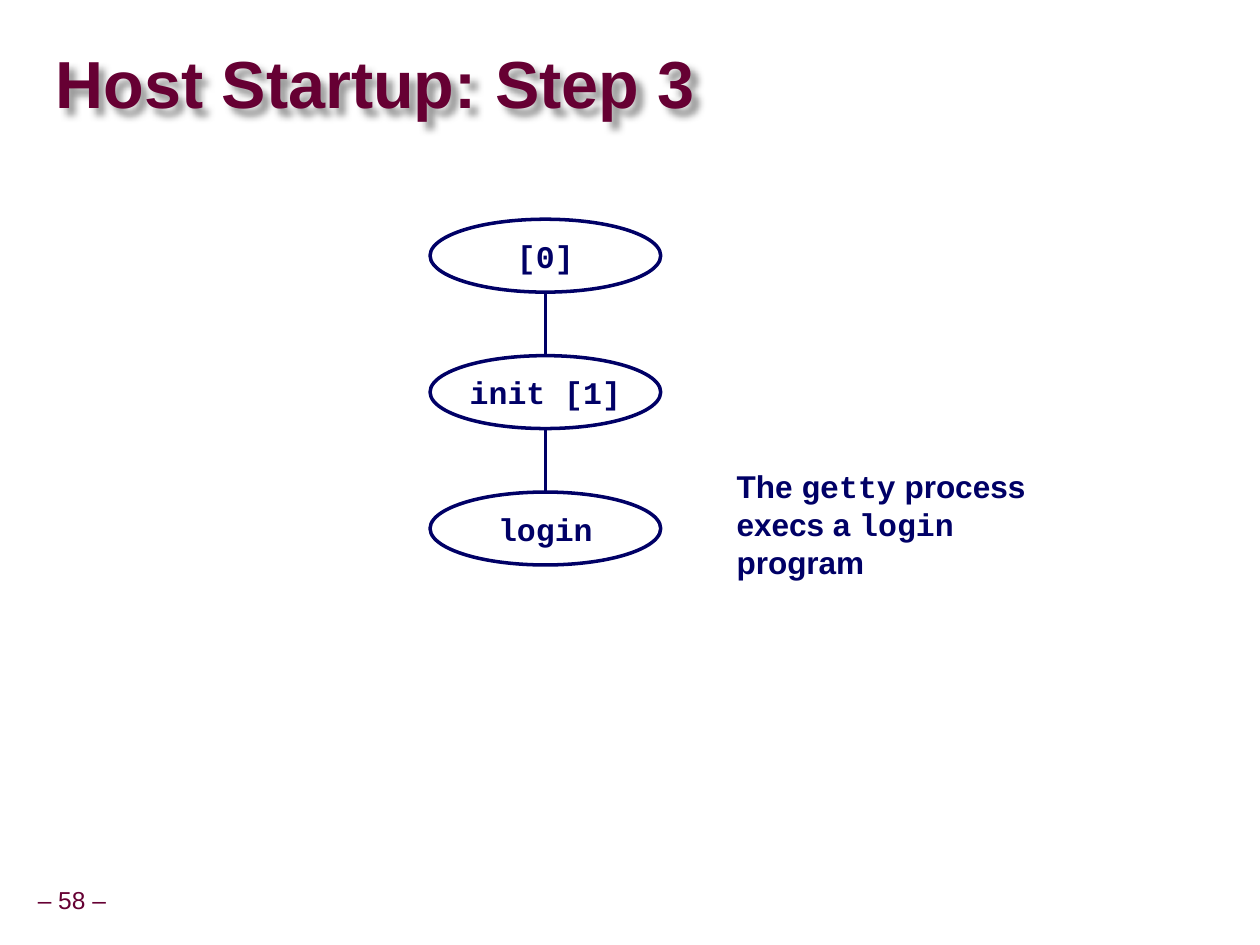
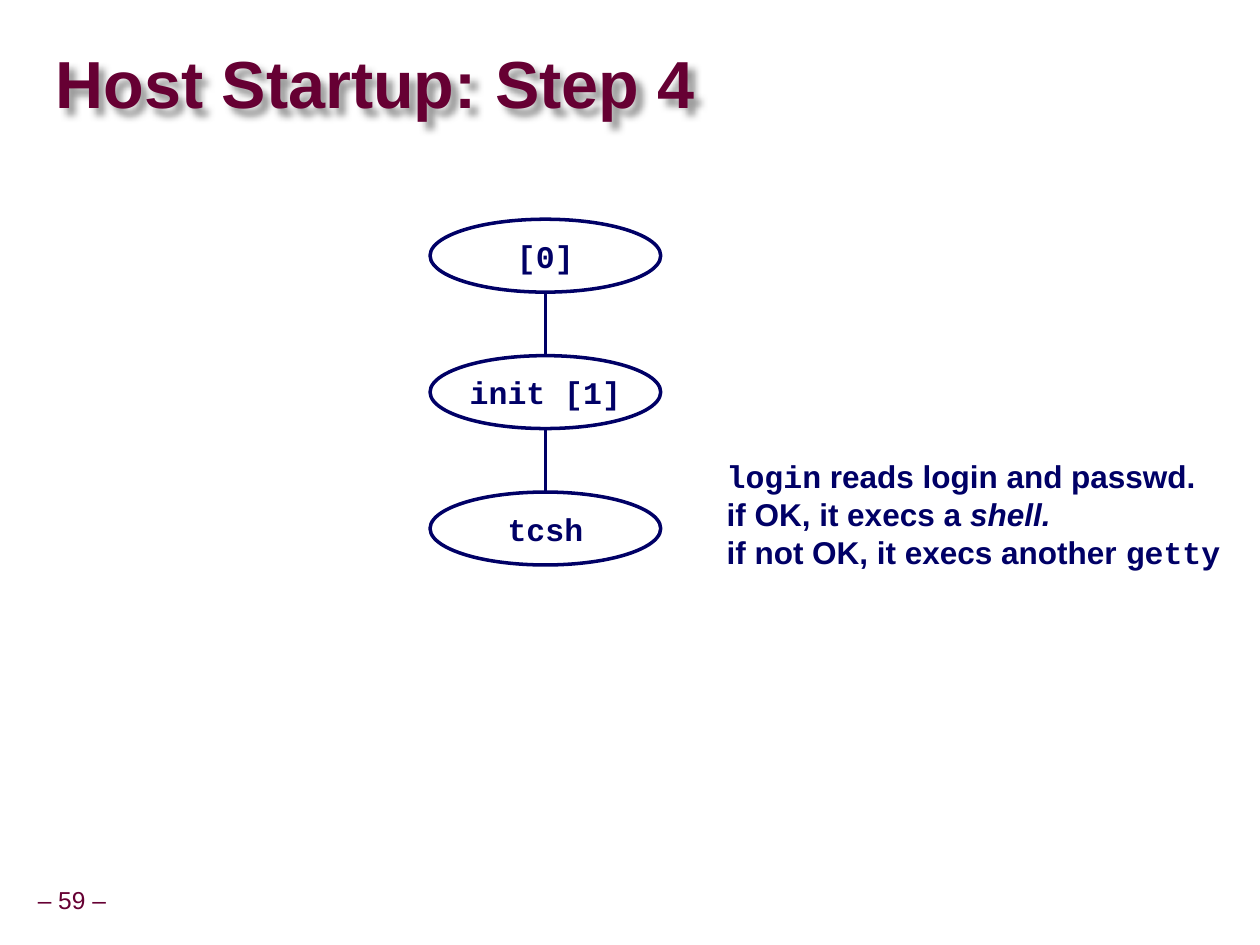
"""Build two slides on the Host startup process tree."""
from dataclasses import dataclass

from lxml import etree
from pptx import Presentation
from pptx.dml.color import RGBColor
from pptx.enum.shapes import MSO_CONNECTOR, MSO_SHAPE
from pptx.enum.text import MSO_ANCHOR, MSO_AUTO_SIZE, PP_ALIGN
from pptx.oxml import parse_xml
from pptx.oxml.ns import nsdecls, qn
from pptx.presentation import Presentation as PresentationType
from pptx.slide import Slide
from pptx.text.text import Font
from pptx.util import Cm, Pt

OVAL = MSO_SHAPE.OVAL
STRAIGHT = MSO_CONNECTOR.STRAIGHT
MIDDLE = MSO_ANCHOR.MIDDLE
LEFT, CENTER = PP_ALIGN.LEFT, PP_ALIGN.CENTER
NO_AUTOFIT = MSO_AUTO_SIZE.NONE
TITLE_ONLY_LAYOUT = 5


@dataclass(frozen=True)
class Theme:
    """Colours, fonts and type sizes of the deck."""
    accent: RGBColor = RGBColor(0x66, 0x00, 0x33)
    ink: RGBColor = RGBColor(0x00, 0x00, 0x66)
    paper: RGBColor = RGBColor(0xFF, 0xFF, 0xFF)
    sans: str = "Arial"
    mono: str = "Courier New"
    title_size: int = 38
    body_size: int = 18
    footer_size: int = 14
    line_width: int = 2


@dataclass(frozen=True)
class ProcessColumn:
    """Place of the stacked process ovals, in centimetres."""
    left: float = 8.67
    top: float = 4.42
    width: float = 4.65
    height: float = 1.47
    pitch: float = 2.75


@dataclass(frozen=True)
class Span:
    """A stretch of note text in one style."""
    text: str
    code: bool = False
    italic: bool = False


@dataclass(frozen=True)
class Note:
    """A remark beside the last process, in centimetres."""
    left: float
    top: float
    width: float
    lines: list[list[Span]]


@dataclass(frozen=True)
class StartupStep:
    """One slide of the startup sequence."""
    number: int
    page: int
    processes: list[str]
    note: Note


THEME = Theme()
COLUMN = ProcessColumn()
STEPS = [
    StartupStep(3, 58, ["[0]", "init [1]", "login"], Note(14.6, 9.3, 6.55, [
        [Span("The "), Span("getty", code=True), Span(" process execs a "),
         Span("login", code=True), Span(" program")],
    ])),
    StartupStep(4, 59, ["[0]", "init [1]", "tcsh"], Note(14.4, 9.09, 11, [
        [Span("login", code=True), Span(" reads login and passwd.")],
        [Span("if OK, it execs a "), Span("shell.", italic=True)],
        [Span("if not OK, it execs another "), Span("getty", code=True)],
    ])),
]


def style_font(font: Font, name: str, size: int, color: RGBColor, bold: bool = True) -> None:
    """Apply typeface, size, colour and weight."""
    font.name = name
    font.size = Pt(size)
    font.color.rgb = color
    font.bold = bold


def add_title(slide: Slide, text: str) -> None:
    """Fill the title placeholder and give it a soft shadow."""
    title = slide.shapes.title
    title.left, title.top, title.width, title.height = Cm(1.12), Cm(0.69), Cm(24.21), Cm(2.16)
    frame = title.text_frame
    frame.text = text
    frame.auto_size = NO_AUTOFIT
    frame.vertical_anchor = MIDDLE
    frame.margin_left = frame.margin_right = frame.margin_top = frame.margin_bottom = 0
    paragraph = frame.paragraphs[0]
    paragraph.alignment = LEFT
    paragraph.line_spacing = 0.87
    style_font(paragraph.runs[0].font, THEME.sans, THEME.title_size, THEME.accent)
    title._element.spPr.append(parse_xml(
        f'<a:effectLst {nsdecls("a")}>'
        '<a:outerShdw blurRad="50800" dist="63500" dir="2700000" algn="tl" rotWithShape="0">'
        '<a:srgbClr val="000000"><a:alpha val="40000"/></a:srgbClr>'
        '</a:outerShdw></a:effectLst>'))


def add_page_number(slide: Slide, page: int) -> None:
    """Write the page number at the lower left."""
    box = slide.shapes.add_textbox(Cm(0.61), Cm(17.78), Cm(1.68), Cm(0.79))
    frame = box.text_frame
    frame.text = f"– {page} –"
    frame.word_wrap = False
    frame.vertical_anchor = MIDDLE
    frame.margin_left = frame.margin_right = frame.margin_top = frame.margin_bottom = Cm(0.13)
    paragraph = frame.paragraphs[0]
    paragraph.alignment = CENTER
    paragraph.line_spacing = 0.9
    style_font(paragraph.runs[0].font, THEME.sans, THEME.footer_size, THEME.accent, bold=False)


def add_process(slide: Slide, name: str, top: float) -> None:
    """Draw one process oval."""
    oval = slide.shapes.add_shape(OVAL, Cm(COLUMN.left), Cm(top), Cm(COLUMN.width), Cm(COLUMN.height))
    oval.shadow.inherit = False
    oval.fill.solid()
    oval.fill.fore_color.rgb = THEME.paper
    oval.line.color.rgb = THEME.ink
    oval.line.width = Pt(THEME.line_width)
    frame = oval.text_frame
    frame.text = name
    frame.word_wrap = False
    frame.vertical_anchor = MIDDLE
    paragraph = frame.paragraphs[0]
    paragraph.alignment = CENTER
    style_font(paragraph.runs[0].font, THEME.mono, THEME.body_size, THEME.ink)


def add_link(slide: Slide, top: float, bottom: float) -> None:
    """Draw the line from a parent process to its child."""
    center = Cm(COLUMN.left + COLUMN.width / 2)
    link = slide.shapes.add_connector(STRAIGHT, center, Cm(top), center, Cm(bottom))
    link.line.color.rgb = THEME.ink
    link.line.width = Pt(THEME.line_width)
    etree.SubElement(link._element.spPr, qn("a:effectLst"))


def add_process_chain(slide: Slide, names: list[str]) -> None:
    """Stack the processes and link each to the one above."""
    for index, name in enumerate(names):
        top = COLUMN.top + index * COLUMN.pitch
        add_process(slide, name, top)
        if index:
            add_link(slide, top - COLUMN.pitch + COLUMN.height, top)


def add_note(slide: Slide, note: Note) -> None:
    """Write the remark with code and italic spans."""
    box = slide.shapes.add_textbox(Cm(note.left), Cm(note.top), Cm(note.width), Cm(2.54))
    frame = box.text_frame
    frame.word_wrap = True
    for index, spans in enumerate(note.lines):
        paragraph = frame.add_paragraph() if index else frame.paragraphs[0]
        for span in spans:
            run = paragraph.add_run()
            run.text = span.text
            family = THEME.mono if span.code else THEME.sans
            style_font(run.font, family, THEME.body_size, THEME.ink)
            run.font.italic = span.italic


def add_step_slide(presentation: PresentationType, step: StartupStep) -> None:
    """Build the slide of one startup step."""
    slide = presentation.slides.add_slide(presentation.slide_layouts[TITLE_ONLY_LAYOUT])
    add_page_number(slide, step.page)
    add_title(slide, f"Host Startup: Step {step.number}")
    add_process_chain(slide, step.processes)
    add_note(slide, step.note)


def main() -> None:
    """Create and save the presentation."""
    presentation = Presentation()
    presentation.slide_width = Cm(25.4)
    presentation.slide_height = Cm(19.05)
    for step in STEPS:
        add_step_slide(presentation, step)
    presentation.save("out.pptx")


if __name__ == "__main__":
    main()
